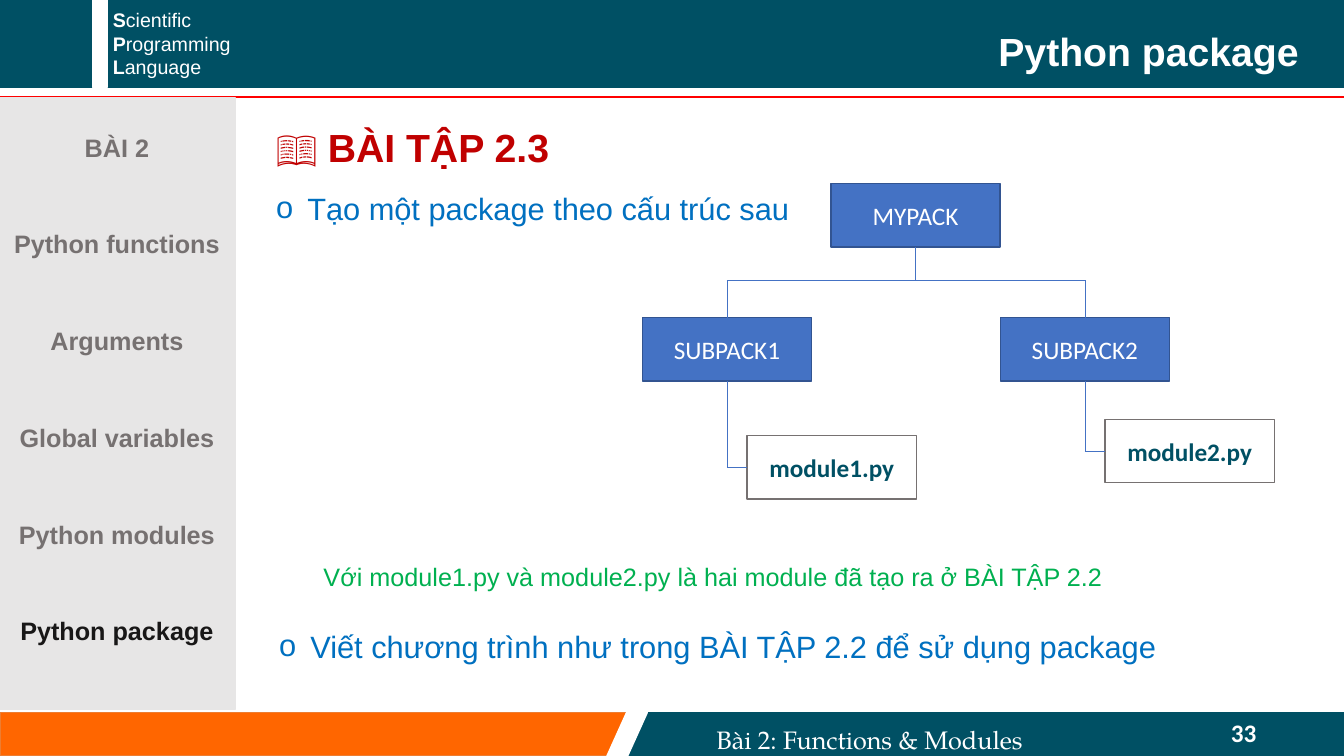
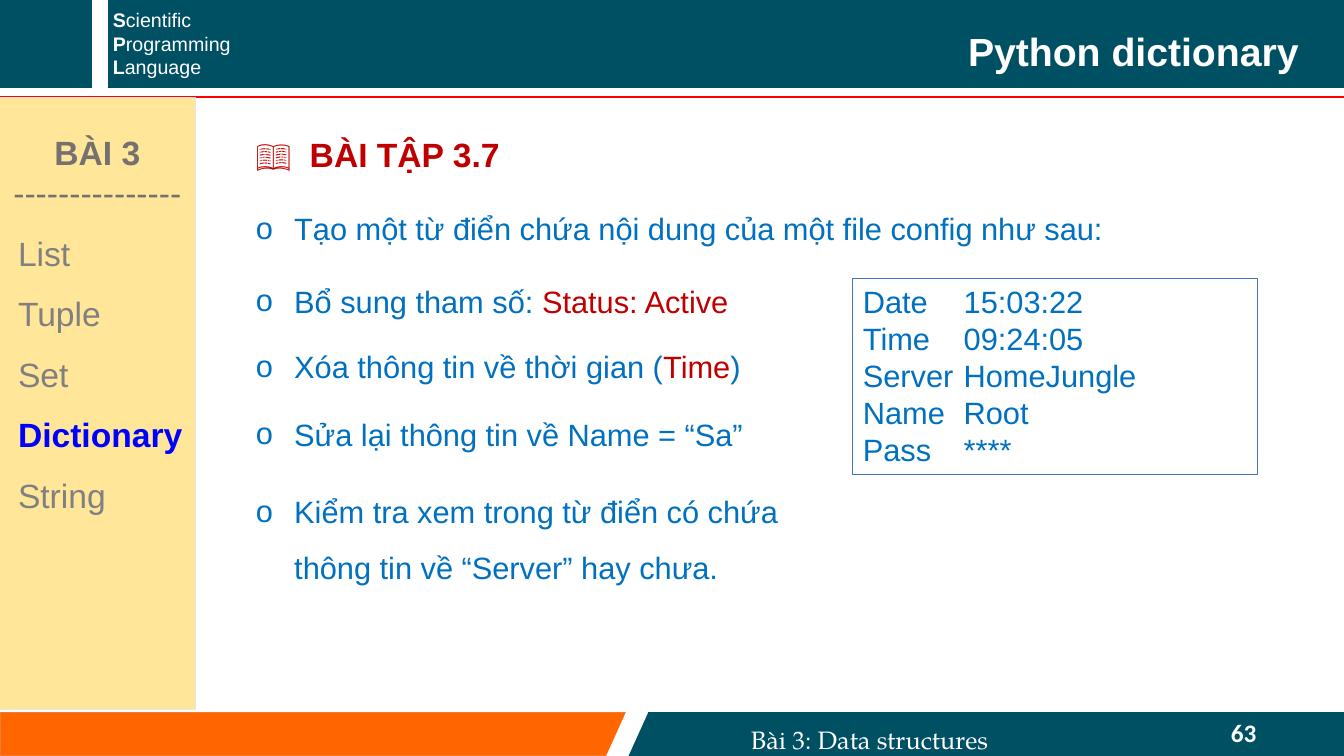
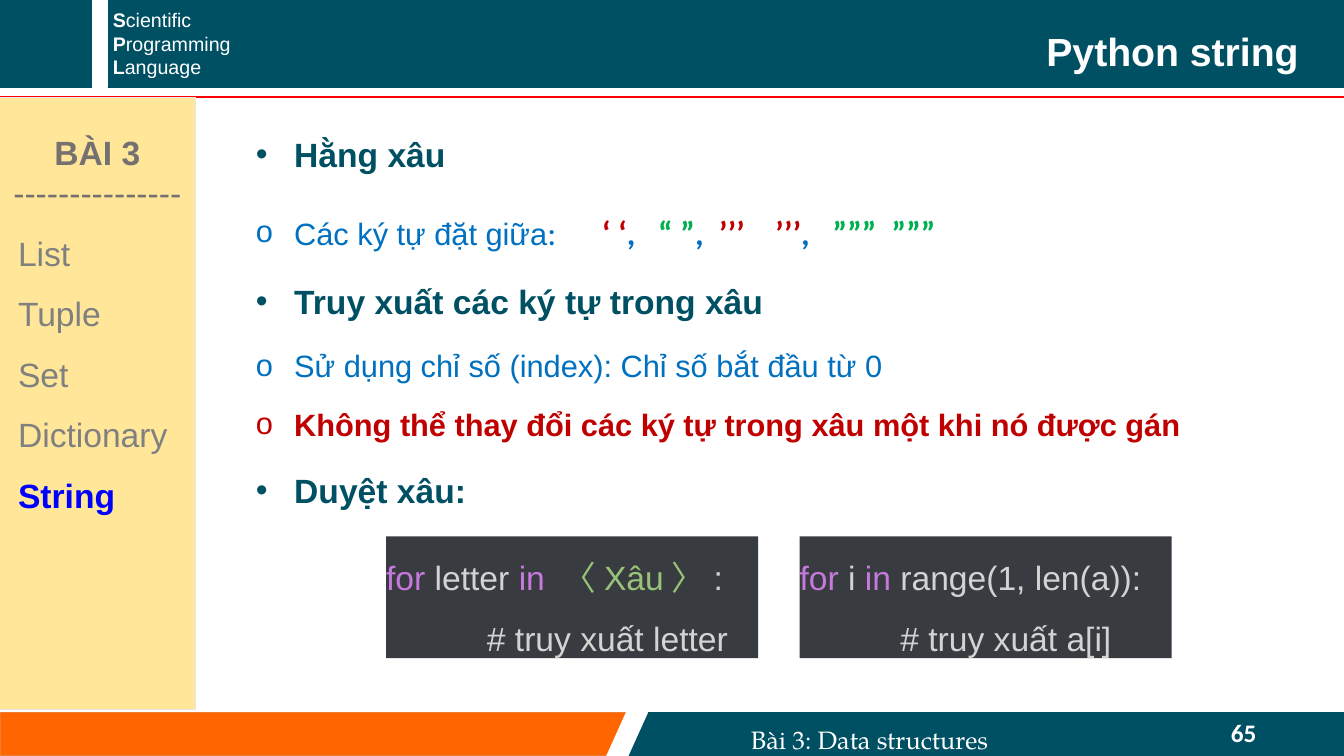
from lxml.etree import SubElement
from pptx import Presentation
from pptx.dml.color import RGBColor
from pptx.enum.shapes import MSO_CONNECTOR, MSO_SHAPE
from pptx.enum.text import MSO_ANCHOR, PP_ALIGN
from pptx.oxml.ns import qn
from pptx.util import Inches, Pt

WIDTH, HEIGHT = 13.33, 7.5
TOP, LEFT_SIDE, BOTTOM = 0, 1, 2

WHITE = RGBColor(0xFF, 0xFF, 0xFF)
TEAL = RGBColor(0x00, 0x50, 0x64)
ORANGE = RGBColor(0xFF, 0x66, 0x00)
ORANGE_EDGE = RGBColor(0xED, 0x7D, 0x31)
RULE_RED = RGBColor(0xFF, 0x00, 0x00)
PALE_GREY = RGBColor(0xE7, 0xE6, 0xE6)
SAND = RGBColor(0xFF, 0xE6, 0x99)
DIM = RGBColor(0x76, 0x71, 0x71)
GREY = RGBColor(0x80, 0x80, 0x80)
INK = RGBColor(0x18, 0x17, 0x17)
ACTIVE_BLUE = RGBColor(0x00, 0x00, 0xFF)
RED = RGBColor(0xC0, 0x00, 0x00)
BLUE = RGBColor(0x00, 0x70, 0xC0)
GREEN = RGBColor(0x00, 0xB0, 0x50)
NODE = RGBColor(0x44, 0x72, 0xC4)
NODE_EDGE = RGBColor(0x32, 0x54, 0x91)
CODE_BACK = RGBColor(0x38, 0x3B, 0x40)
CODE_TEXT = RGBColor(0xD3, 0xD3, 0xD3)
CODE_KEYWORD = RGBColor(0xC6, 0x78, 0xDD)
CODE_VALUE = RGBColor(0x98, 0xC3, 0x79)


def style(size, color, bold=False, name="Arial"):
    return {"size": Pt(size), "color": color, "bold": bold, "name": name}


TITLE = style(28, WHITE, True)
EXERCISE = style(28, RED, True)
SMALL_EXERCISE = style(24, RED, True)
HEADING = style(24, TEAL, True)
BODY = style(22, BLUE)
WARNING = style(22, RED, True)
CODE = style(24, CODE_TEXT)
FOOTER = style(18, WHITE, name="TeX Gyre Pagella")
PAGE = style(18, WHITE, True, "Calibri")
PACKAGE = style(18, WHITE, name="Calibri")
MODULE = style(18, TEAL, True, "Calibri")


# ---- Text ----
def wide(points):
    """One space, stretched by the given number of points."""
    return " ", {"stretch": points}


def write(paragraph, runs, look, align=PP_ALIGN.LEFT, spacing=1.0, after=0,
          indent=0, mark=None, tab=None):
    """Fill a paragraph; runs is a string or a list of strings and (text, changes)."""
    for key, value in {"alignment": align, "line_spacing": spacing,
                       "space_after": Pt(after)}.items():
        setattr(paragraph, key, value)
    props = paragraph._p.get_or_add_pPr()
    props.set("marL", str(Inches(indent)))
    props.set("indent", str(Inches(-indent if mark else 0)))
    if mark:
        SubElement(props, qn("a:buFont"), typeface="Arial")
        SubElement(props, qn("a:buChar"), char=mark)
    if tab:
        stops = SubElement(props, qn("a:tabLst"))
        SubElement(stops, qn("a:tab"), pos=str(Inches(tab)), algn="l")
    for part in [runs] if isinstance(runs, str) else runs:
        text, changes = (part, {}) if isinstance(part, str) else part
        run = paragraph.add_run()
        run.text = text
        for key, value in {**look, **changes}.items():
            if key == "color":
                run.font.color.rgb = value
            elif key == "stretch":
                run._r.get_or_add_rPr().set("spc", str(round(value * 100)))
            else:
                setattr(run.font, key, value)


def fill_frame(frame, paragraphs, look, insets=None, anchor=MSO_ANCHOR.TOP, **layout):
    frame.word_wrap = True
    frame.vertical_anchor = anchor
    for side, inset in (insets or {}).items():
        setattr(frame, f"margin_{side}", Inches(inset))
    for i, runs in enumerate(paragraphs):
        write(frame.paragraphs[0] if i == 0 else frame.add_paragraph(),
              runs, look, **layout)


def text(slide, box, paragraphs, look, **layout):
    label = slide.shapes.add_textbox(*map(Inches, box))
    fill_frame(label.text_frame, paragraphs, look, **layout)


# ---- Shapes ----
def block(slide, box, fill=None, edge=None, weight=1, preset=MSO_SHAPE.RECTANGLE):
    shape = slide.shapes.add_shape(preset, *map(Inches, box))
    shape.shadow.inherit = False
    if fill is None:
        shape.fill.background()
    else:
        shape.fill.solid()
        shape.fill.fore_color.rgb = fill
    if edge is None:
        shape.line.fill.background()
    else:
        shape.line.color.rgb = edge
        shape.line.width = Pt(weight)
    return shape


def rule(slide, start, end, color, weight, begin=None, finish=None):
    """Straight line; begin and finish are (shape, side) joints."""
    line = slide.shapes.add_connector(MSO_CONNECTOR.STRAIGHT,
                                      *map(Inches, (*start, *end)))
    line.line.color.rgb = color
    line.line.width = Pt(weight)
    SubElement(line._element.spPr, qn("a:effectLst"))
    if begin:
        line.begin_connect(*begin)
    if finish:
        line.end_connect(*finish)


# ---- Shared frame ----
def header(slide, box, title):
    x, y, w, h = box
    block(slide, box, TEAL, TEAL)
    block(slide, (x + 0.92, y, 0.14, h), WHITE, WHITE)
    words = ("Scientific", "Programming", "Language")
    text(slide, (x + 1.02, y + 0.03, 2.08, 0.81),
         [[(word[0], {"bold": True}), word[1:]] for word in words], style(14, WHITE))
    text(slide, (x + 3.35, y + 0.13, 9.74, 0.62), [title], TITLE,
         insets={"right": 0.21}, align=PP_ALIGN.RIGHT, spacing=1.2)
    rule(slide, (x, y + 0.96), (x + w, y + 0.96), RULE_RED, 1.5)


def footer(slide, box, lesson, page):
    x, y, w, h = box
    split = 6.22
    block(slide, (x, y, split, h), ORANGE, ORANGE_EDGE)
    block(slide, (x + split, y, w - split, h), TEAL, TEAL)
    slash = block(slide, (x + split - 0.2, y, 0.4, h), WHITE, WHITE,
                  preset=MSO_SHAPE.PARALLELOGRAM)
    slash.adjustments[0] = 0.486
    text(slide, (x + 12.11, y, 1.07, 0.4), [str(page)], PAGE)
    text(slide, (x + split, y + 0.01, 4.81, 0.46), [lesson], FOOTER,
         align=PP_ALIGN.CENTER, spacing=1.2)


def new_slide(deck, title, lesson, page):
    slide = deck.slides.add_slide(deck.slide_layouts[6])
    header(slide, (0, 0, WIDTH, 0.87), title)
    footer(slide, (0, 7.07, WIDTH, 0.43), lesson, page)
    return slide


# ---- Sidebars ----
def lesson2_sidebar(slide, box, active):
    topics = ("BÀI 2", "Python functions", "Arguments", "Global variables",
              "Python modules", "Python package")
    panel = block(slide, box, PALE_GREY, PALE_GREY)
    fill_frame(panel.text_frame,
               [[(topic, {"color": INK if topic == active else DIM})]
                for topic in topics],
               style(18, DIM, True), insets={"top": 0.34},
               align=PP_ALIGN.CENTER, after=47.5)


def lesson3_sidebar(slide, box, active):
    frame = block(slide, box, SAND, PALE_GREY).text_frame
    fill_frame(frame, ["BÀI 3"], style(24, DIM, True), insets={"top": 0.14},
               align=PP_ALIGN.CENTER, spacing=1.5)
    write(frame.add_paragraph(), "-" * 15, style(24, DIM), align=PP_ALIGN.CENTER)
    for topic in ("List", "Tuple", "Set", "Dictionary", "String"):
        look = style(24, ACTIVE_BLUE, True) if topic == active else style(24, GREY)
        write(frame.add_paragraph(), topic, look, spacing=1.5, indent=0.09)


# ---- Content regions ----
def bullet(slide, box, runs, look=BODY, mark="o", spacing=1.5, indent=0.38):
    text(slide, box, [runs], look, mark=mark, spacing=spacing, indent=indent)


def heading(slide, box, runs):
    bullet(slide, box, runs, HEADING, "•", 1.2)


def package_tree(slide, box):
    x, y, _, _ = box
    node_w, node_h = 1.68, 0.63
    spine_y, sub_y = y + 0.96, y + 1.33

    def node(center, top, name, look=PACKAGE, fill=NODE, edge=NODE_EDGE):
        shape = block(slide, (center - node_w / 2, top, node_w, node_h), fill, edge)
        fill_frame(shape.text_frame, [name], look, anchor=MSO_ANCHOR.MIDDLE,
                   align=PP_ALIGN.CENTER)
        return shape

    def branch(start, end, **joints):
        rule(slide, start, end, NODE, 0.5, **joints)

    root_x = x + 2.71
    root = node(root_x, y, "MYPACK")
    branch((root_x, y + node_h), (root_x, spine_y), begin=(root, BOTTOM))
    centers = (x + 0.84, x + 4.39)
    branch((centers[0], spine_y), (centers[1], spine_y))
    for number, center, module_y in zip((1, 2), centers, (y + 2.5, y + 2.34)):
        package = node(center, sub_y, f"SUBPACK{number}")
        module = node(center + 0.2 + node_w / 2, module_y, f"module{number}.py",
                      MODULE, None, DIM)
        elbow = (center, module_y + node_h / 2)
        branch((center, spine_y), (center, sub_y), finish=(package, TOP))
        branch((center, sub_y + node_h), elbow, begin=(package, BOTTOM))
        branch(elbow, (center + 0.2, elbow[1]), finish=(module, LEFT_SIDE))


def config_file(slide, box):
    entries = {"Date": "15:03:22", "Time": "09:24:05", "Server": "HomeJungle",
               "Name": "Root", "Pass": "****"}
    panel = block(slide, box, edge=NODE, weight=0.75)
    fill_frame(panel.text_frame, [f"{key}\t{value}" for key, value in entries.items()],
               BODY, tab=2)


def code(slide, box, loop, comment):
    frame = block(slide, box, CODE_BACK).text_frame
    fill_frame(frame, [loop], CODE, anchor=MSO_ANCHOR.MIDDLE, spacing=1.5,
               insets=dict.fromkeys(("left", "top", "right", "bottom"), 0))
    write(frame.add_paragraph(), comment, CODE, spacing=1.5, indent=1)


# ---- Slides ----
def package_slide(deck):
    slide = new_slide(deck, "Python package", "Bài 2: Functions & Modules", 33)
    lesson2_sidebar(slide, (-0.01, 0.97, 2.34, 6.07), "Python package")
    text(slide, (2.64, 1.08, 9.69, 0.62), ["📖 BÀI TẬP 2.3"], EXERCISE, spacing=1.2)
    bullet(slide, (2.64, 1.76, 7.57, 0.5), "Tạo một package theo cấu trúc sau",
           spacing=1.2, indent=0.31)
    package_tree(slide, (6.37, 1.82, 6.27, 3.13))
    text(slide, (3.11, 5.46, 8.71, 0.46),
         ["Với module1.py và module2.py là hai module đã tạo ra ở BÀI TẬP 2.2"],
         style(18, GREEN), spacing=1.2)
    bullet(slide, (2.67, 6.1, 9.84, 0.55),
           "Viết chương trình như trong BÀI TẬP 2.2 để sử dụng package",
           spacing=1.2, indent=0.31)


def lesson3_slide(deck, title, page, active):
    slide = new_slide(deck, title, "Bài 3: Data structures", page)
    lesson3_sidebar(slide, (-0.01, 0.97, 1.95, 6.07), active)
    return slide


def dictionary_slide(deck):
    slide = lesson3_slide(deck, "Python dictionary", 63, "Dictionary")
    x, narrow, row = 2.44, 5.53, 0.59
    red = {"color": RED}
    text(slide, (x, 1.2, 7.57, row), [["📖", wide(6.7), "BÀI TẬP 3.7"]],
         SMALL_EXERCISE, spacing=1.2)
    bullet(slide, (x, 1.85, 10.74, row),
           "Tạo một từ điển chứa nội dung của một file config như sau:")
    config_file(slide, (8.46, 2.76, 4.01, 1.95))
    tasks = (
        (2.57, ["Bổ sung tham số: ", ("Status: Active", red)]),
        (3.22, ["Xóa thông tin về thời gian (", ("Time", red), ")"]),
        (3.89, "Sửa lại thông tin về Name = “Sa”"),
        (4.66, "Kiểm tra xem trong từ điển có chứa thông tin về “Server” hay chưa."),
    )
    for y, task in tasks:
        bullet(slide, (x, y, narrow, row), task)


def string_slide(deck):
    slide = lesson3_slide(deck, "Python string", 65, "String")
    x, w, row = 2.44, 10.74, 0.59

    # Section headings
    for y, words in ((1.2, "Hằng xâu"), (2.66, "Truy xuất các ký tự trong xâu"),
                     (4.53, "Duyệt xâu:")):
        heading(slide, (x, y, w, row), words)

    # Kinds of quotation marks
    plain = style(24, BLUE, name="Calibri")
    comma, red, green = (style(24, c, True, "Calibri") for c in (BLUE, RED, GREEN))

    def gap(spaces):
        blank, stretch = wide(5.42 * (spaces - 1))
        return blank, {**plain, **stretch}

    bullet(slide, (x, 1.85, w, row), [
        "Các ký tự đặt giữa", (":", plain), gap(6),
        ("‘ ‘", red), (",", comma), gap(3),
        ("“ ”", green), (",", comma), gap(2),
        ("’’’", red), gap(4), ("’’’", red), (",", comma), gap(3),
        ("”””", green), gap(2), ("”””", green)])

    # Access by index
    bullet(slide, (x, 3.21, w, row), "Sử dụng chỉ số (index): Chỉ số bắt đầu từ 0")
    bullet(slide, (x, 3.79, w, row),
           "Không thể thay đổi các ký tự trong xâu một khi nó được gán", WARNING)

    # Two loops
    keyword, value = {"color": CODE_KEYWORD}, {"color": CODE_VALUE}
    loops = (
        ([("for", keyword), " letter ", ("in ", keyword), ("〈Xâu〉", value), ":"],
         "# truy xuất letter"),
        ([("for", keyword), " i ", ("in", keyword), " range(1, len(a)):"],
         "# truy xuất a[i]"),
    )
    for column, (loop, comment) in enumerate(loops):
        code(slide, (3.83 + 4.1 * column, 5.32, 3.69, 1.21), loop, comment)


def main():
    deck = Presentation()
    deck.slide_width, deck.slide_height = Inches(WIDTH), Inches(HEIGHT)
    for build in (package_slide, dictionary_slide, string_slide):
        build(deck)
    deck.save("out.pptx")


if __name__ == "__main__":
    main()
